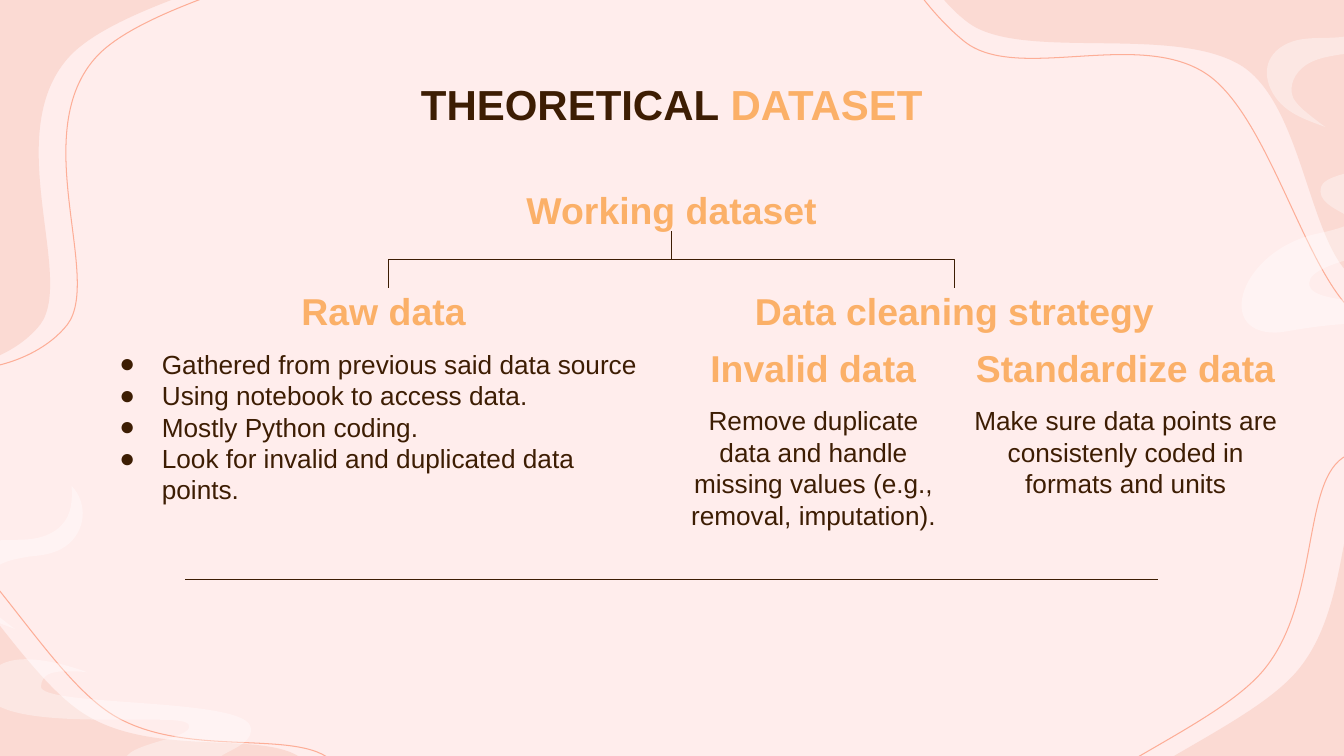
"""Build the theoretical dataset slide."""
from lxml import etree
from pptx import Presentation
from pptx.dml.color import RGBColor
from pptx.enum.shapes import MSO_CONNECTOR
from pptx.enum.text import MSO_ANCHOR, PP_ALIGN
from pptx.oxml.ns import qn
from pptx.util import Cm, Pt

TOP, BOTTOM = MSO_ANCHOR.TOP, MSO_ANCHOR.BOTTOM
LEFT, CENTER = PP_ALIGN.LEFT, PP_ALIGN.CENTER
STRAIGHT, ELBOW = MSO_CONNECTOR.STRAIGHT, MSO_CONNECTOR.ELBOW
FONT, DARK, GOLD = "Arial", "3D1D03", "FBB068"
PALE, PINK, CORAL, WHITE = "FFEDEC", "FBDAD3", "FDAE97", "FFFFFF"
HEAD, BODY, INCH = 26.7, 18.7, 2.54

TITLE = [("THEORETICAL ", DARK), ("DATASET", GOLD)]
ROOT, RAW, CLEAN = "Working dataset", "Raw data ", "Data cleaning strategy"
POINTS = [
    "Gathered from previous said data source",
    "Using notebook to access data.",
    "Mostly Python coding.",
    "Look for invalid and duplicated data points.",
]
TASKS = [
    ("Invalid data", "Remove duplicate data and handle missing values (e.g., removal, imputation).", 16.93, 7.14),
    ("Standardize data", "Make sure data points are consistenly coded in formats and units", 24.08, 8.58),
]

# Each outline is a start point, then three points for every curve, in inches.
BLOBS = [
    ([(-1.43, 3.35), (-1.93, 2.81), (-2.44, .94), (-2.59, .01), (-2.75, -.92), (-3.01, -1.74), (-2.34, -2.24),
      (-1.66, -2.75), (.29, -3.19), (1.46, -3.02), (2.63, -2.86), (4.83, -1.85), (4.7, -1.26),
      (4.58, -.66), (1.42, -.2), (.7, .55), (-.01, 1.3), (.75, 2.75), (.4, 3.22),
      (.04, 3.68), (-.93, 3.88), (-1.43, 3.35)], .27),
    ([(-4.31, 8.14), (-4.08, 7.35), (-2.45, 5.12), (-1.59, 4.95), (-.72, 4.78), (.09, 6.66), (.88, 7.11),
      (1.66, 7.56), (2.87, 7.17), (3.1, 7.65), (3.33, 8.14), (2.84, 9.85), (2.26, 10.02),
      (1.68, 10.2), (.49, 8.76), (-.38, 8.69), (-1.25, 8.63), (-2.32, 9.75), (-2.97, 9.66),
      (-3.63, 9.57), (-4.54, 8.92), (-4.31, 8.14)], .27),
    ([(13.19, 11.9), (12.44, 11.56), (10.47, 9.64), (10.42, 8.76), (10.37, 7.88), (12.35, 7.33), (12.9, 6.62),
      (13.46, 5.91), (13.24, 4.66), (13.75, 4.5), (14.26, 4.34), (15.89, 5.06), (15.98, 5.66),
      (16.07, 6.26), (14.48, 7.23), (14.29, 8.09), (14.11, 8.94), (15.07, 10.15), (14.89, 10.79),
      (14.7, 11.42), (13.93, 12.24), (13.19, 11.9)], -.34),
]
CORNER = [
    (9.18, -1.77), (9.77, -2.33), (12.29, -3.47), (13.12, -3.19), (13.96, -2.91), (13.74, -.87), (14.2, -.1),
    (14.66, .68), (15.97, .98), (15.87, 1.47), (15.76, 1.96), (14.17, 2.97), (13.58, 2.83),
    (12.99, 2.7), (12.99, 1.1), (12.33, .66), (11.66, .23), (10.12, .62), (9.6, .22),
    (9.07, -.18), (8.6, -1.2), (9.18, -1.77)]
EDGE = [
    (8.84, -1.68), (9.37, -2.27), (11.94, -3.38), (12.78, -3.11), (13.62, -2.83), (13.4, -.79), (13.86, -.01),
    (14.31, .76), (15.56, 1.02), (15.52, 1.56), (15.48, 2.09), (14.21, 3.34), (13.62, 3.2),
    (13.03, 3.07), (12.66, 1.21), (11.98, .74), (11.31, .28), (10.11, .82), (9.58, .42),
    (9.06, .01), (8.31, -1.1), (8.84, -1.68)]
SWIRL = [
    (15.19, 1.19), (14.93, 1.19), (14.62, 1.32), (14.62, 1.32), (14.69, 1.31), (14.75, 1.31), (14.8, 1.31),
    (14.96, 1.31), (15.04, 1.34), (15.05, 1.46), (15.06, 1.66), (13.21, 1.57), (13.11, 1.85),
    (13.01, 2.14), (13.86, 2.15), (13.06, 2.32), (12.31, 2.49), (12.05, 3.3), (12.65, 3.3),
    (12.7, 3.3), (12.75, 3.29), (12.81, 3.28), (13.1, 3.23), (13.33, 3.21), (13.51, 3.21),
    (14.22, 3.21), (14.13, 3.55), (14.13, 3.55), (14.46, 2.82), (12.98, 3.12), (12.99, 2.81),
    (12.99, 2.56), (14.06, 2.49), (14.24, 2.26), (14.43, 2.03), (13.6, 1.99), (13.68, 1.84),
    (13.7, 1.79), (13.88, 1.79), (14.13, 1.79), (14.21, 1.79), (14.3, 1.79), (14.4, 1.79),
    (14.95, 1.79), (15.62, 1.76), (15.56, 1.44), (15.52, 1.25), (15.36, 1.19), (15.19, 1.19)]
CURL = [
    (13.71, -.16), (13.72, -.02), (13.71, .13), (13.61, .23), (13.53, .32), (13.4, .36), (13.28, .37),
    (13.16, .38), (13.04, .37), (12.91, .39), (12.79, .41), (12.67, .47), (12.61, .57),
    (12.52, .72), (12.59, .91), (12.71, 1.03), (12.83, 1.15), (12.99, 1.2), (13.15, 1.26),
    (13.08, 1.21), (12.99, 1.14), (12.92, 1.08), (12.89, 1.05), (12.85, 1.01), (12.83, .97),
    (12.78, .85), (12.85, .72), (12.95, .65), (13.05, .58), (13.18, .56), (13.3, .54),
    (13.43, .53), (13.55, .51), (13.65, .44), (13.75, .37), (13.81, .26), (13.82, .15),
    (13.83, .04), (13.79, -.08), (13.71, -.16)]


def paint(text):
    return RGBColor.from_string(text)


def move(pts, dx, dy=0, sx=1):
    return [(x * sx + dx, y + dy) for x, y in pts]


def bend(shape):
    sides = list(shape.element.spPr.iter(qn("a:lnTo")))
    for i in range(0, len(sides), 3):
        arc = etree.Element(qn("a:cubicBezTo"))
        sides[i].addprevious(arc)
        for side in sides[i:i + 3]:
            arc.append(side[0])
            side.getparent().remove(side)


def draw(pts, fill=None, line=None, alpha=None):
    spots = [(Cm(INCH * x), Cm(INCH * y)) for x, y in pts]
    pen = slide.shapes.build_freeform(*spots[0])
    pen.add_line_segments(spots[1:], close=True)
    shape = pen.convert_to_shape()
    bend(shape)
    shape.shadow.inherit = False
    if fill:
        shape.fill.solid()
        shape.fill.fore_color.rgb = paint(fill)
        shape.line.fill.background()
    else:
        shape.fill.background()
        shape.line.color.rgb = paint(line)
        shape.line.width = Pt(.75)
    if alpha:
        tint = shape.element.spPr.find(qn("a:solidFill"))[0]
        etree.SubElement(tint, qn("a:alpha")).set("val", str(alpha * 1000))


def write(frame, lines, size, bold=False, align=CENTER, anchor=TOP):
    frame.word_wrap = True
    frame.vertical_anchor = anchor
    frame.margin_left = frame.margin_right = frame.margin_top = frame.margin_bottom = Cm(.34)
    for i, runs in enumerate(lines):
        para = frame.add_paragraph() if i else frame.paragraphs[0]
        para.alignment = align
        for text, color in runs:
            run = para.add_run()
            run.text = text
            run.font.name, run.font.size, run.font.bold = FONT, Pt(size), bold
            run.font.color.rgb = paint(color)


def label(text, x, y, w, h=1.45, anchor=BOTTOM):
    box = slide.shapes.add_textbox(Cm(x), Cm(y), Cm(w), Cm(h))
    write(box.text_frame, [[(text, GOLD)]], HEAD, True, anchor=anchor)
    return box


def notes(lines, x, y, w, h, align=CENTER):
    box = slide.shapes.add_textbox(Cm(x), Cm(y), Cm(w), Cm(h))
    write(box.text_frame, [[(text, DARK)] for text in lines], BODY, align=align)
    return box


def bullet(para):
    props = para._p.get_or_add_pPr()
    props.set("marL", str(Cm(1.07)))
    props.set("indent", str(-Cm(1.17)))
    tint = etree.SubElement(props, qn("a:buClr"))
    etree.SubElement(tint, qn("a:srgbClr")).set("val", DARK)
    etree.SubElement(props, qn("a:buFont")).set("typeface", FONT)
    etree.SubElement(props, qn("a:buChar")).set("char", "●")


def stroke(kind, *ends):
    line = slide.shapes.add_connector(kind, *(Cm(v) for v in ends))
    line.line.color.rgb = paint(DARK)
    line.line.width = Pt(.75)
    etree.SubElement(line.element.spPr, qn("a:effectLst"))
    return line


def branch(root, leaf):
    line = stroke(ELBOW, 0, 0, 1, 1)
    line.begin_connect(root, 2)
    line.end_connect(leaf, 0)
    x, y, w, h = line.left, line.top, line.width, line.height
    right = line.end_x > line.begin_x
    line.left, line.top = x + (w - h) // 2, y + (h - w) // 2
    line.width, line.height = h, w
    frame = line.element.spPr.find(qn("a:xfrm"))
    frame.set("rot", str((270 if right else 90) * 60000))
    frame.set("flipH", "1" if right else "0")


deck = Presentation()
deck.slide_width, deck.slide_height = Cm(33.87), Cm(19.05)
slide = deck.slides.add_slide(deck.slide_layouts[5])
slide.background.fill.solid()
slide.background.fill.fore_color.rgb = paint(PALE)

for blob, shift in BLOBS:
    draw(blob, PINK)
    draw(move(blob, shift), line=CORAL)
draw(CORNER, PINK)
draw(EDGE, line=CORAL)
for mark in (SWIRL, CURL, move(SWIRL, 16.51, 5.35, -1.07), move(CURL, -13, 4.98)):
    draw(mark, WHITE, alpha=37)

title = slide.shapes.title
title.left, title.top, title.width, title.height = Cm(2.67), Cm(1.65), Cm(28.52), Cm(2.13)
write(title.text_frame, [TITLE], 30, True)
slide.shapes.element.append(title.element)

root = label(ROOT, 8.33, 4.38, 17.2, anchor=TOP)
for leaf in (label(RAW, 2.67, 7.27, 14.26), label(CLEAN, 16.93, 7.27, 14.26)):
    branch(root, leaf)
for para in notes(POINTS, 2.67, 8.43, 14.26, 4.37, LEFT).text_frame.paragraphs:
    bullet(para)
for name, text, x, w in TASKS:
    label(name, x, 8.71, w)
    notes([text], x, 9.86, w, 2.95)
stroke(STRAIGHT, 4.67, 14.6, 29.18, 14.6)

deck.save("out.pptx")
